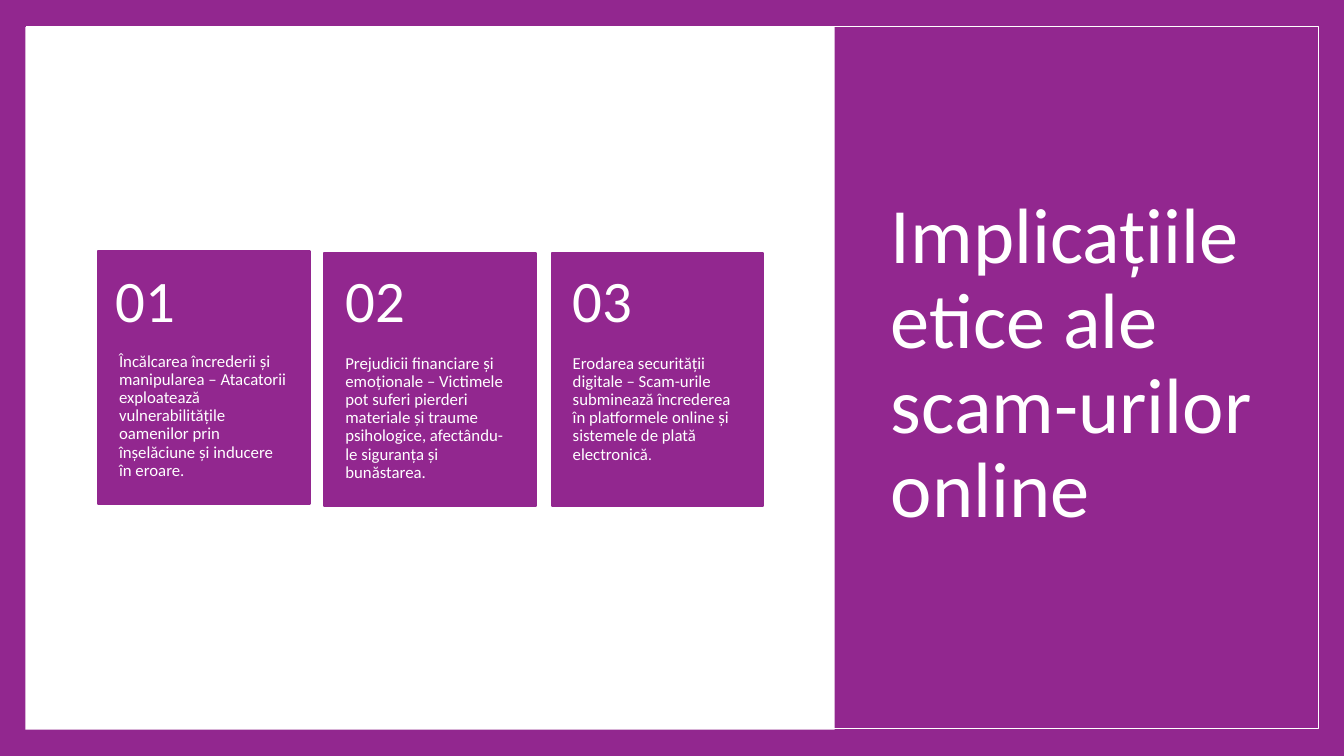
"""Build the slide on the ethical implications of online scams."""
from dataclasses import dataclass

from pptx import Presentation
from pptx.dml.color import RGBColor
from pptx.enum.shapes import MSO_SHAPE
from pptx.enum.text import MSO_ANCHOR, PP_ALIGN
from pptx.util import Inches, Pt

RECT = MSO_SHAPE.RECTANGLE
TOP, MIDDLE = MSO_ANCHOR.TOP, MSO_ANCHOR.MIDDLE
LEFT = PP_ALIGN.LEFT


@dataclass(frozen=True)
class Theme:
    purple: RGBColor = RGBColor(0x92, 0x27, 0x8F)
    white: RGBColor = RGBColor(0xFF, 0xFF, 0xFF)
    font: str = "Calibri"
    title: int = 56
    number: int = 42
    body: int = 12
    stop: int = 11
    spacing: float = 0.9


class Deck:
    def __init__(self, prs, theme):
        self.prs, self.theme = prs, theme
        self.slide = prs.slides.add_slide(prs.slide_layouts[6])
        self.shapes = self.slide.shapes

    def box(self, x, y, w, h):
        width, height = self.prs.slide_width, self.prs.slide_height
        return [int(share * side / 100) for share, side in
                zip((x, y, w, h), (width, height, width, height))]

    def background(self, color):
        fill = self.slide.background.fill
        fill.solid()
        fill.fore_color.rgb = color

    def rect(self, place, fill=None, line=None, weight=1):
        sp = self.shapes.add_shape(RECT, *self.box(*place))
        sp.shadow.inherit = False
        if fill is None:
            sp.fill.background()
        else:
            sp.fill.solid()
            sp.fill.fore_color.rgb = fill
        if line is None:
            sp.line.fill.background()
        else:
            sp.line.color.rgb = line
            sp.line.width = Pt(weight)

    def text(self, place, runs, anchor=MIDDLE, insets=(0.1, 0.05, 0.1, 0.05)):
        tf = self.shapes.add_textbox(*self.box(*place)).text_frame
        tf.word_wrap = True
        tf.vertical_anchor = anchor
        (tf.margin_left, tf.margin_top,
         tf.margin_right, tf.margin_bottom) = map(Inches, insets)
        p = tf.paragraphs[0]
        p.alignment = LEFT
        p.line_spacing = self.theme.spacing
        for words, size in runs:
            r = p.add_run()
            r.text = words
            r.font.name = self.theme.font
            r.font.size = Pt(size)
            r.font.color.rgb = self.theme.white

    def card(self, x, y, number, number_x, number_y, body):
        width, height, head = 15.75, 33.47, 13.47
        t = self.theme
        self.shapes = self.slide.shapes.add_group_shape().shapes
        self.rect((x, y, width, height), t.purple, t.purple, 1.5)
        self.text((x, y + head, width, height - head), body, TOP,
                  (0.21, 0, 0.21, 0.36))
        self.text((number_x, number_y, width, head), [(number, t.number)],
                  insets=(0.21, 0.18, 0.21, 0.18))
        self.shapes = self.slide.shapes


def main():
    prs = Presentation()
    prs.slide_width, prs.slide_height = Inches(13.33), Inches(7.5)
    t = Theme()
    deck = Deck(prs, t)

    deck.background(t.purple)
    deck.rect((1.88, 3.6, 96.15, 92.93), fill=t.white)
    deck.rect((62.1, 3.47, 36, 93.07), fill=t.purple)
    deck.text((65.55, 8.93, 29.33, 78.8),
              [("Implicațiile etice ale scam-urilor online", t.title)])
    deck.rect((1.95, 3.47, 96.15, 92.93), line=t.white)

    bodies = [
        [("Încălcarea încrederii și manipularea – Atacatorii exploatează "
          "vulnerabilitățile oamenilor prin înșelăciune și inducere în "
          "eroare.", t.body)],
        [("Prejudicii financiare și emoționale – Victimele pot suferi "
          "pierderi materiale și traume psihologice, afectându-le siguranța "
          "și bunăstarea.", t.body)],
        [("Erodarea securității digitale – Scam-urile subminează încrederea "
          "în platformele online și sistemele de plată electronică", t.body),
         (".", t.stop)],
    ]
    first_x, pitch, row_y = 7.2, 16.92, 33.47
    nudge_x, nudge_y = 0.08, -0.27
    for i, body in enumerate(bodies):
        x = first_x + i * pitch
        card_x, card_y = (x + nudge_x, row_y + nudge_y) if i == 0 else (x, row_y)
        number_x = x - 2 * nudge_x if i == 0 else x
        deck.card(card_x, card_y, f"{i + 1:02}", number_x, row_y, body)

    prs.save("out.pptx")


if __name__ == "__main__":
    main()
